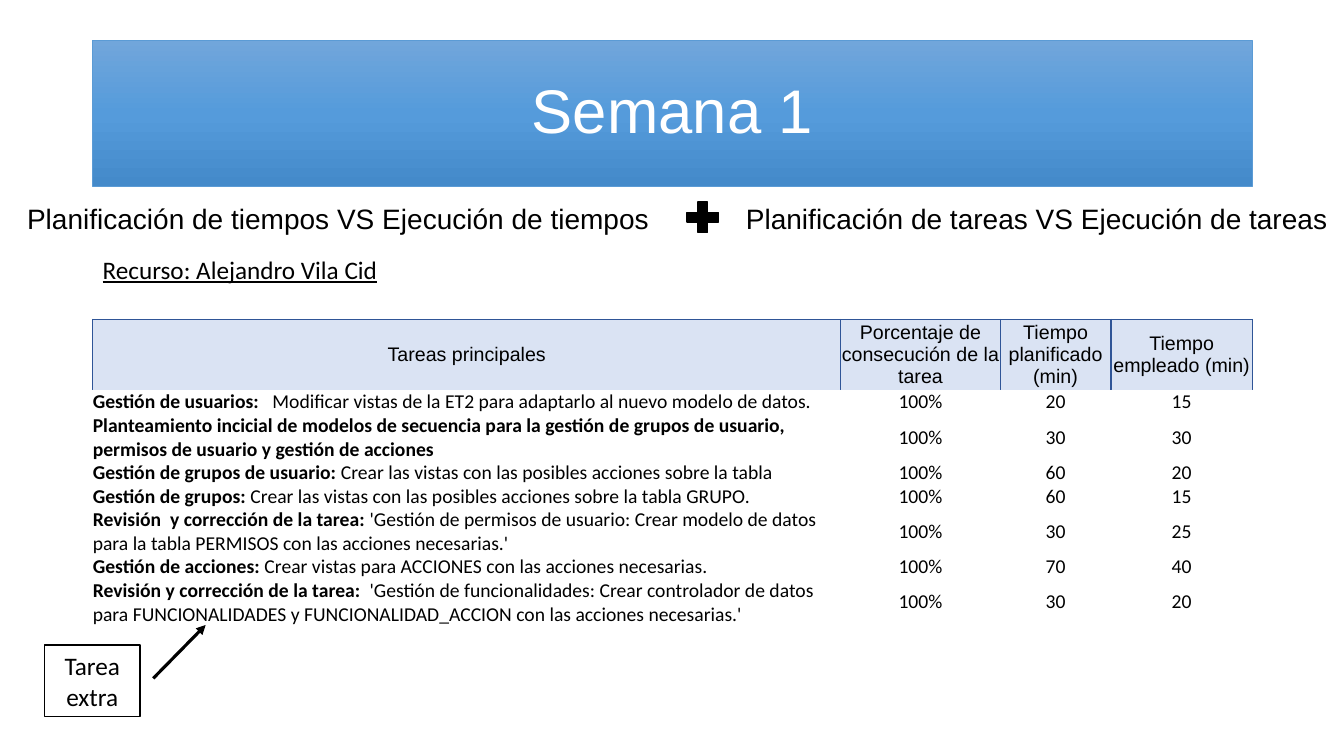
from copy import deepcopy

from pptx import Presentation
from pptx.dml.color import RGBColor
from pptx.enum.shapes import MSO_CONNECTOR, MSO_SHAPE
from pptx.enum.text import MSO_ANCHOR, PP_ALIGN
from pptx.oxml import parse_xml
from pptx.oxml.ns import nsdecls, qn
from pptx.util import Inches, Pt

CENTER, LEFT = PP_ALIGN.CENTER, PP_ALIGN.LEFT
MIDDLE = MSO_ANCHOR.MIDDLE
BLACK = RGBColor(0x00, 0x00, 0x00)
WHITE = RGBColor(0xFF, 0xFF, 0xFF)
BLUE = RGBColor(0x5B, 0x9B, 0xD5)
GRADIENT = [RGBColor(0x71, 0xA6, 0xDB), RGBColor(0x55, 0x9B, 0xDB), RGBColor(0x44, 0x8A, 0xCA)]
HEADER_FILL = RGBColor(0xDA, 0xE3, 0xF3)
HEADER_LINE = RGBColor(0x2F, 0x55, 0x97)

MARGIN, CONTENT_W = 0.92, 11.5
SUBTITLE_TOP = 1.95
COLUMNS = [7.42, 1.58, 1.1, 1.4]
HEADER_H, LINE_H = 0.7, 0.23

HEADERS = ["Tareas principales", "Porcentaje de consecución de la tarea",
           "Tiempo planificado (min)", "Tiempo empleado (min)"]
TASKS = [
    ("Gestión de usuarios:  ",
     " Modificar vistas de la ET2 para adaptarlo al nuevo modelo de datos.", 20, 15, 1),
    ("Planteamiento incicial de modelos de secuencia para la gestión de grupos de usuario, "
     "permisos de usuario y gestión de acciones", "", 30, 30, 2),
    ("Gestión de grupos de usuario: ",
     "Crear las vistas con las posibles acciones sobre la tabla", 60, 20, 1),
    ("Gestión de grupos:",
     " Crear las vistas con las posibles acciones sobre la tabla GRUPO.", 60, 15, 1),
    ("Revisión  y corrección de la tarea: ",
     "'Gestión de permisos de usuario: Crear modelo de datos para la tabla PERMISOS "
     "con las acciones necesarias.'", 30, 25, 2),
    ("Gestión de acciones: ",
     "Crear vistas para ACCIONES con las acciones necesarias.", 70, 40, 1),
    ("Revisión y corrección de la tarea: ",
     " 'Gestión de funcionalidades: Crear controlador de datos para FUNCIONALIDADES y "
     "FUNCIONALIDAD_ACCION con las acciones necesarias.'", 30, 20, 2),
]


def write(tf, runs, size, font, color=BLACK, align=LEFT):
    tf.word_wrap = True
    p = tf.paragraphs[0]
    p.alignment = align
    p.font.size, p.font.name = Pt(size), font
    p.font.color.rgb = color
    for text, bold in runs:
        if text:
            r = p.add_run()
            r.text = text
            if bold:
                r.font.bold = True
    return p


def fill_cell(cell, runs, font, align):
    cell.margin_left = cell.margin_right = cell.margin_top = cell.margin_bottom = 0
    cell.vertical_anchor = MIDDLE
    cell.fill.background()
    write(cell.text_frame, runs, 14, font, align=align)


prs = Presentation()
prs.slide_width, prs.slide_height = Inches(13.33), Inches(7.5)
s = prs.slides.add_slide(prs.slide_layouts[5])

title = s.shapes.title
title.left, title.top = Inches(MARGIN), Inches(0.4)
title.width, title.height = Inches(CONTENT_W), Inches(1.45)
title.fill.gradient()
title.fill.gradient_angle = 270
stops = title._element.spPr.find(".//" + qn("a:gsLst"))
stops.append(deepcopy(stops[-1]))
for i, (stop, color) in enumerate(zip(title.fill.gradient_stops, GRADIENT)):
    stop.position = i / 2
    stop.color.rgb = color
title.line.color.rgb = BLUE
title.line.width = Pt(0.5)
title.text_frame.vertical_anchor = MIDDLE
write(title.text_frame, [("Semana 1", False)], 44, "Arial", WHITE, CENTER).line_spacing = 0.9

for text, left, top, width, size, font, underline in [
    ("Recurso: Alejandro Vila Cid", MARGIN, 2.47, 3.67, 18, "Calibri", True),
    ("Planificación de tareas VS Ejecución de tareas", 7.3, SUBTITLE_TOP, 6.04, 20, "Arial", False),
    ("Planificación de tiempos VS Ejecución de tiempos", 0.17, SUBTITLE_TOP, 6.47, 20, "Arial", False),
]:
    sp = s.shapes.add_textbox(Inches(left), Inches(top), Inches(width), Inches(0.42))
    write(sp.text_frame, [(text, False)], size, font).font.underline = underline

table_h = HEADER_H + LINE_H * sum(task[-1] for task in TASKS)
table = s.shapes.add_table(len(TASKS) + 1, len(COLUMNS), Inches(MARGIN), Inches(3.17),
                           Inches(CONTENT_W), Inches(table_h)).table
table.first_row = table.horz_banding = False
for column, width in zip(table.columns, COLUMNS):
    column.width = Inches(width)

table.rows[0].height = Inches(HEADER_H)
for cell, text in zip(table.rows[0].cells, HEADERS):
    fill_cell(cell, [(text, False)], "Arial", CENTER)
    cell.fill.solid()
    cell.fill.fore_color.rgb = HEADER_FILL
    for i, side in enumerate(("lnL", "lnR", "lnT", "lnB")):
        cell._tc.get_or_add_tcPr().insert(i, parse_xml(
            f'<a:{side} {nsdecls("a")} w="{Pt(1)}"><a:solidFill>'
            f'<a:srgbClr val="{HEADER_LINE}"/></a:solidFill></a:{side}>'))

for row, (name, detail, planned, spent, lines) in zip(list(table.rows)[1:], TASKS):
    row.height = Inches(LINE_H * lines)
    fill_cell(row.cells[0], [(name, True), (detail, False)], "Calibri", LEFT)
    for i, value in enumerate(("100%", str(planned), str(spent)), 1):
        fill_cell(row.cells[i], [(value, False)], "Calibri", CENTER)

arrow = s.shapes.add_connector(MSO_CONNECTOR.STRAIGHT, Inches(1.52), Inches(6.73),
                               Inches(2.04), Inches(6.2))
arrow.line.color.rgb = BLACK
arrow.line.width = Pt(2.25)
arrow.line._get_or_add_ln().append(parse_xml(f'<a:tailEnd {nsdecls("a")} type="triangle"/>'))
arrow._element.spPr.append(parse_xml(f'<a:effectLst {nsdecls("a")}/>'))

extra = s.shapes.add_shape(MSO_SHAPE.RECTANGLE, Inches(0.44), Inches(6.4), Inches(0.95), Inches(0.71))
plus = s.shapes.add_shape(MSO_SHAPE.MATH_PLUS, Inches(6.76), Inches(SUBTITLE_TOP), Inches(0.42), Inches(0.41))
for sp, color in ((extra, WHITE), (plus, BLACK)):
    sp.shadow.inherit = False
    sp.fill.solid()
    sp.fill.fore_color.rgb = color
    sp.line.color.rgb = BLACK
    sp.line.width = Pt(1)
write(extra.text_frame, [("Tarea extra", False)], 18, "Calibri", align=CENTER)

prs.save("out.pptx")
